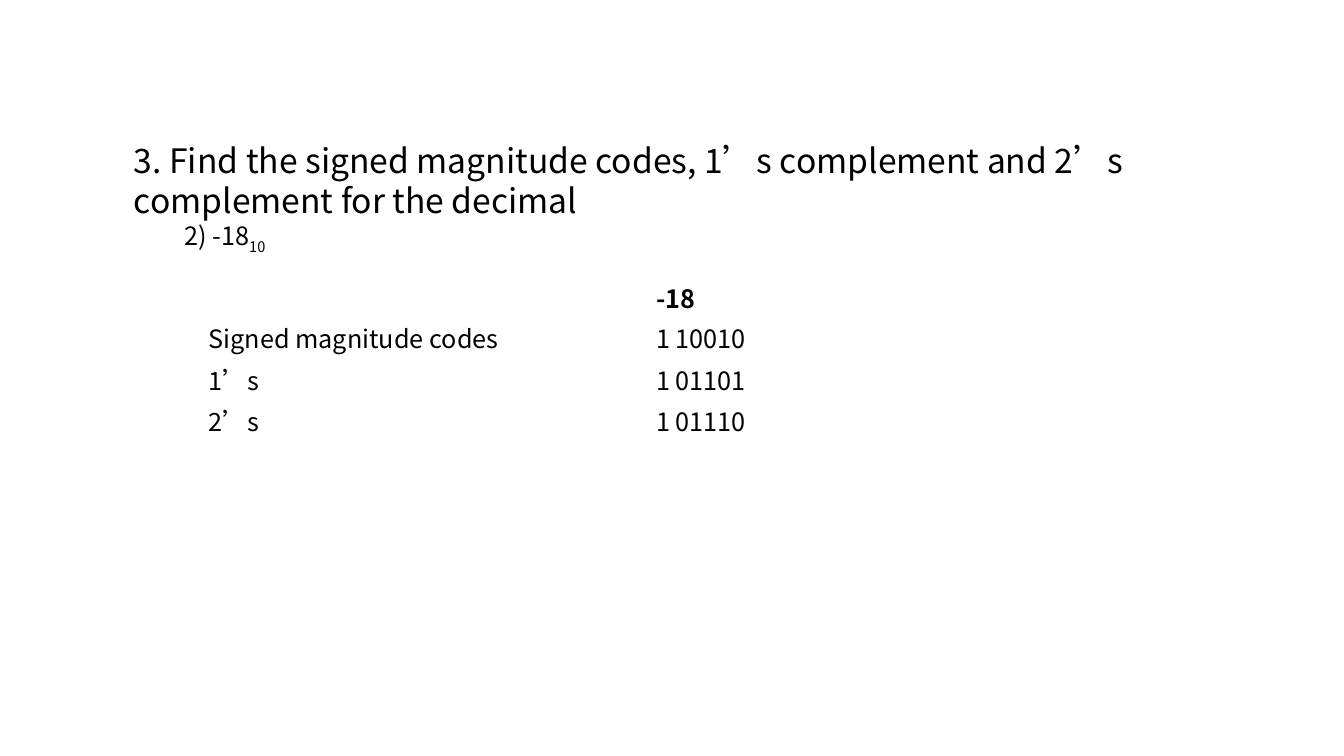
"""Build a slide on binary codes for a negative decimal."""
from lxml import etree
from pptx import Presentation
from pptx.dml.color import RGBColor
from pptx.enum.text import MSO_AUTO_SIZE
from pptx.oxml.ns import qn
from pptx.util import Inches, Pt

BLACK = RGBColor(0, 0, 0)
WHITE = RGBColor(255, 255, 255)
FONT = "Noto Sans CJK SC"
GROW = MSO_AUTO_SIZE.SHAPE_TO_FIT_TEXT


def style(span, size, bold=False):
    span.font.name = FONT
    span.font.size = Pt(size)
    span.font.bold = bold
    span.font.color.rgb = BLACK
    etree.SubElement(span._r.get_or_add_rPr(), qn("a:ea"), typeface=FONT)


def add_border(cell, side, width):
    line = etree.SubElement(cell._tc.get_or_add_tcPr(), qn(f"a:ln{side}"), w=str(Pt(width)))
    fill = etree.SubElement(line, qn("a:solidFill"))
    etree.SubElement(fill, qn("a:srgbClr"), val=str(WHITE))


deck = Presentation()
deck.slide_width = Inches(13.33)
deck.slide_height = Inches(7.5)
page = deck.slides.add_slide(deck.slide_layouts[6])

box = page.shapes.add_textbox(Inches(1.23), Inches(1.34), Inches(10.59), Inches(1.21))
frame = box.text_frame
frame.word_wrap = True
frame.auto_size = GROW
question = frame.paragraphs[0]
question.text = "3. Find the signed magnitude codes, 1’s complement and 2’s complement for the decimal"
style(question.runs[0], 24)

decimal = frame.add_paragraph()
decimal.level = 1
indent = decimal._p.get_or_add_pPr()
indent.set("marL", str(Inches(0.5)))
indent.set("indent", "0")
for text in ("2) -18", "10"):
    span = decimal.add_run()
    span.text = text
    style(span, 18)
span._r.get_or_add_rPr().set("baseline", "-25000")

rows = [
    ("", "-18"),
    ("Signed magnitude codes", "1 10010"),
    ("1’s", "1 01101"),
    ("2’s", "1 01110"),
]
table = page.shapes.add_table(
    len(rows), 2, Inches(1.97), Inches(2.72), Inches(8.89), Inches(1.62)
).table
for column in table.columns:
    column.width = Inches(4.44)
for row_index, texts in enumerate(rows):
    is_header = row_index == 0
    table.rows[row_index].height = Inches(0.39 if is_header else 0.41)
    for column_index, text in enumerate(texts):
        cell = table.cell(row_index, column_index)
        for side in "LRTB":
            heavy = (is_header and side == "B") or (row_index == 1 and side == "T")
            add_border(cell, side, 3 if heavy else 1)
        cell.fill.background()
        cell.text = text
        for span in cell.text_frame.paragraphs[0].runs:
            style(span, 18, is_header)

deck.save("out.pptx")
